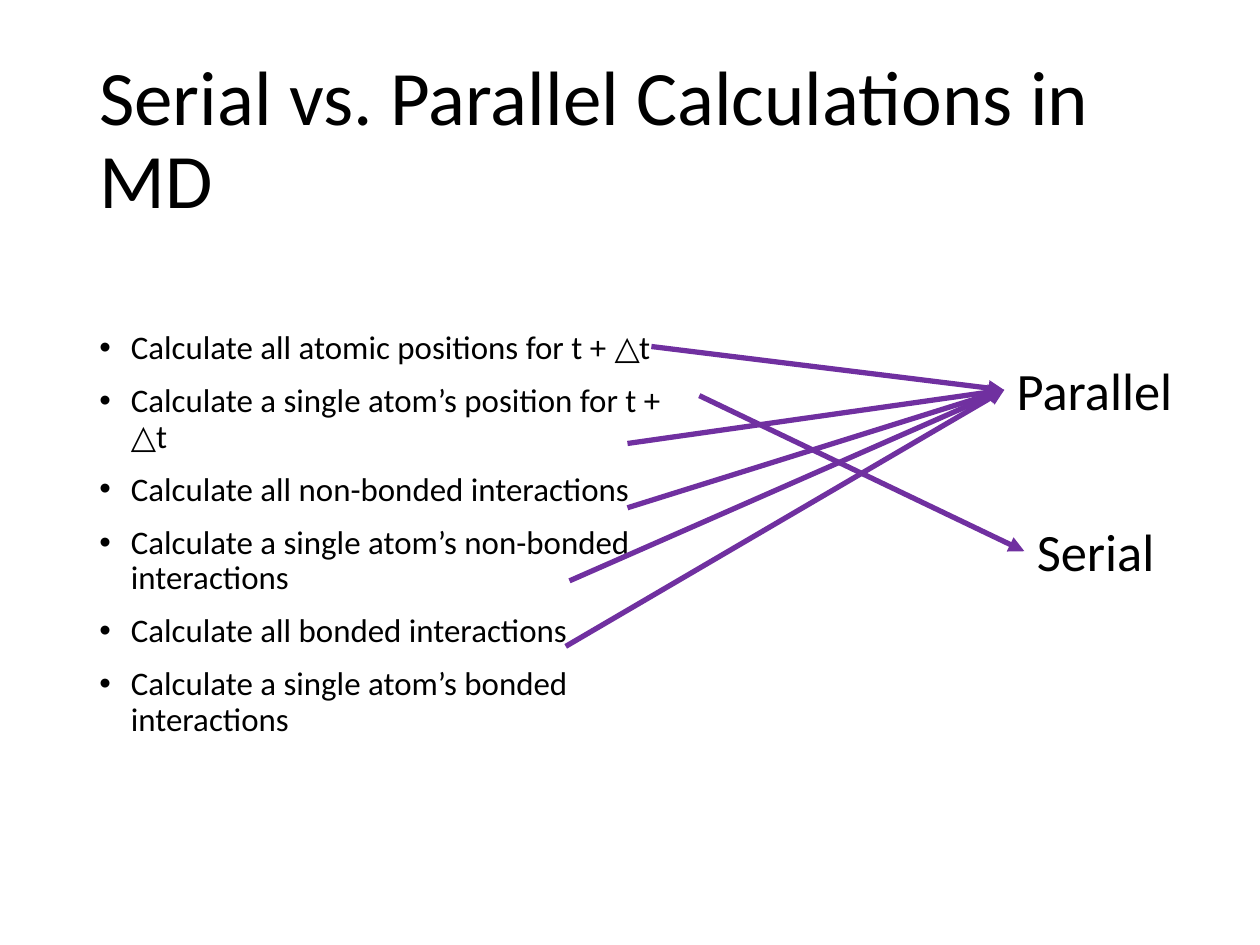
from typing import NamedTuple

from lxml.etree import SubElement
from pptx import Presentation
from pptx.dml.color import RGBColor
from pptx.enum.shapes import MSO_CONNECTOR
from pptx.enum.text import MSO_ANCHOR, MSO_AUTO_SIZE
from pptx.oxml.ns import qn
from pptx.util import Inches, Pt

BLACK = RGBColor(0x00, 0x00, 0x00)
PURPLE = RGBColor(0x70, 0x30, 0xA0)
FONT = "Calibri"
CELL = Inches(0.1)  # grid of 100 columns by 75 rows


class Block(NamedTuple):
    col: float
    row: float
    cols: float
    rows: float
    size: float


class Link(NamedTuple):
    col: float
    row: float
    target: str


TITLE = Block(6.9, 4, 86.2, 14.5, 44)
BODY = Block(6.9, 25.8, 48.7, 35.7, 18.8)
LABELS = {
    "Serial": Block(81.3, 40.7, 11.5, 6.1, 30),
    "Parallel": Block(79.7, 27.9, 14.5, 6.1, 30),
}
TASKS = [
    "Calculate all atomic positions for t + △t",
    "Calculate a single atom’s position for t + △t",
    "Calculate all non-bonded interactions",
    "Calculate a single atom’s non-bonded interactions",
    "Calculate all bonded interactions",
    "Calculate a single atom’s bonded interactions",
]
LINKS = [
    Link(51.7, 27.5, "Parallel"),
    Link(55.5, 31.4, "Serial"),
    Link(49.8, 35.2, "Parallel"),
    Link(49.8, 40.3, "Parallel"),
    Link(45.2, 46.1, "Parallel"),
    Link(44.9, 51.3, "Parallel"),
]


def grid(n: float) -> int:
    return round(n * CELL)


def set_bullet(p) -> None:
    pPr = p._p.get_or_add_pPr()
    pPr.set("marL", str(Inches(0.25)))
    pPr.set("indent", str(-Inches(0.25)))
    SubElement(pPr, qn("a:buFont")).set("typeface", "Arial")
    SubElement(pPr, qn("a:buChar")).set("char", "•")


def add_text(s, block: Block, lines: list[str], spacing: float = 1.0,
             bullets: bool = False, wrap: bool = True):
    sp = s.shapes.add_textbox(*map(grid, block[:4]))
    tf = sp.text_frame
    tf.word_wrap = wrap
    for i, line in enumerate(lines):
        p = tf.add_paragraph() if i else tf.paragraphs[0]
        p.line_spacing = spacing
        if i:
            p.space_before = Pt(10)
        if bullets:
            set_bullet(p)
        r = p.add_run()
        r.text = line
        r.font.name = FONT
        r.font.size = Pt(block.size)
        r.font.color.rgb = BLACK
    return sp


def add_arrow(s, link: Link, target) -> None:
    x, y = grid(link.col), grid(link.row)
    line = s.shapes.add_connector(MSO_CONNECTOR.STRAIGHT, x, y, target.left, y)
    line.end_connect(target, 1)
    line.line.color.rgb = PURPLE
    line.line.width = Pt(3)
    SubElement(line.line._get_or_add_ln(), qn("a:tailEnd")).set("type", "triangle")
    SubElement(line._element.spPr, qn("a:effectLst"))


def main() -> None:
    prs = Presentation()
    prs.slide_width, prs.slide_height = 100 * CELL, 75 * CELL
    s = prs.slides.add_slide(prs.slide_layouts[6])

    # Title and list of calculations
    title = add_text(s, TITLE, ["Serial vs. Parallel Calculations in MD"], 0.9)
    title.text_frame.vertical_anchor = MSO_ANCHOR.MIDDLE
    add_text(s, BODY, TASKS, 0.9, bullets=True)

    # Category labels
    labels = {}
    for name, block in LABELS.items():
        labels[name] = add_text(s, block, [name], wrap=False)
        labels[name].text_frame.auto_size = MSO_AUTO_SIZE.SHAPE_TO_FIT_TEXT

    # Arrows from each calculation to its category
    for link in LINKS:
        add_arrow(s, link, labels[link.target])

    prs.save("out.pptx")


if __name__ == "__main__":
    main()
